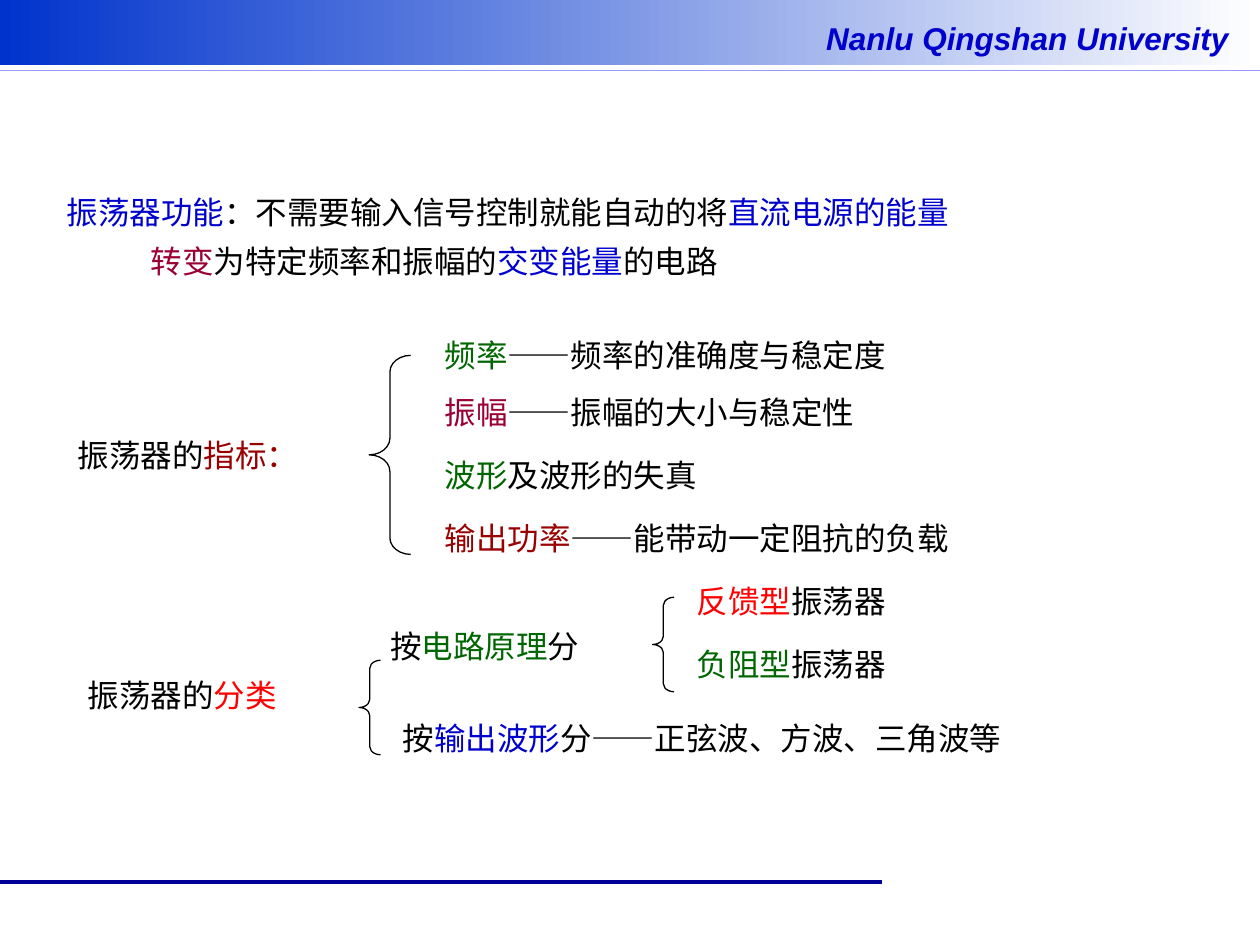
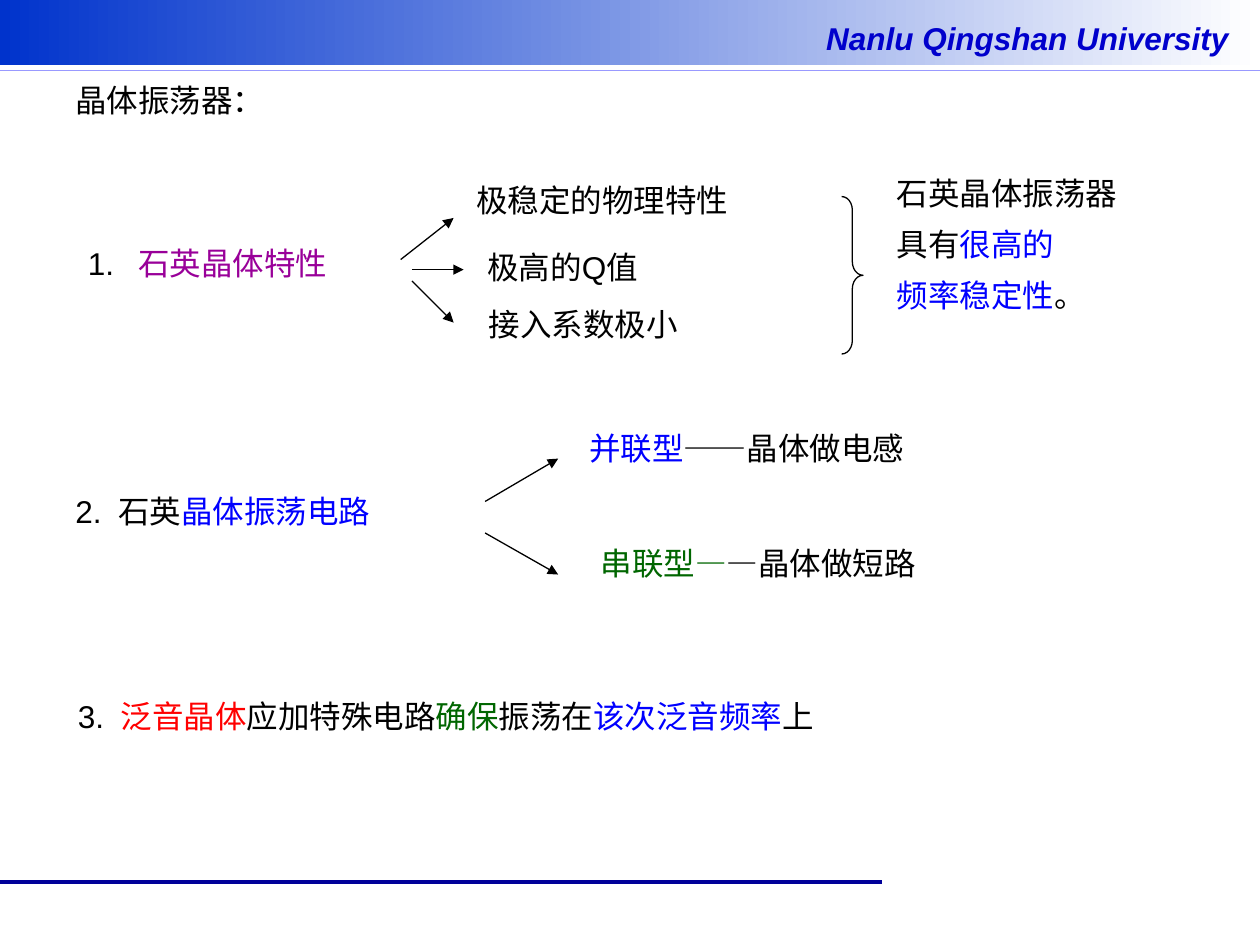
from lxml.etree import SubElement
from pptx import Presentation
from pptx.dml.color import RGBColor
from pptx.enum.shapes import MSO_CONNECTOR, MSO_SHAPE
from pptx.enum.text import MSO_AUTO_SIZE, PP_ALIGN
from pptx.oxml.ns import qn
from pptx.util import Inches, Pt

COLUMNS, ROWS = 100, 75
COLORS = {
    "black": "000000", "white": "FFFFFF", "band": "0033CC", "rule": "9999FF",
    "footer": "000099", "navy": "0000CC", "blue": "0000FF", "green": "006600",
    "red": "FF0000", "brick": "990000", "wine": "990033", "purple": "990099",
}


class Deck:
    """Hold the style and the current slide, placed on a grid of columns and rows."""

    def __init__(self):
        self.show = Presentation()
        self.show.slide_width, self.show.slide_height = Inches(10), Inches(7.5)
        self.slide = None

    def color(self, name):
        return RGBColor.from_string(COLORS[name])

    def place(self, column, row):
        return (round(self.show.slide_width * column / COLUMNS),
                round(self.show.slide_height * row / ROWS))

    def page(self):
        self.slide = self.show.slides.add_slide(self.show.slide_layouts[6])
        self.band()
        self.text((62.5, 1, 36, 4), [[("Nanlu Qingshan University", "navy")]],
                  style={"bold": True, "italic": True}, align=PP_ALIGN.RIGHT)
        self.line((0, 5.6), (100, 5.6), "rule", 1)
        self.line((0, 70), (70, 70), "footer", 2.25)

    def shape(self, kind, box):
        shape = self.slide.shapes.add_shape(kind, *self.place(*box[:2]), *self.place(*box[2:]))
        shape.shadow.inherit = False
        return shape

    def band(self):
        band = self.shape(MSO_SHAPE.RECTANGLE, (0, 0, 100, 5.2))
        band.line.fill.background()
        band.fill.gradient()
        band.fill.gradient_angle = 0
        for stop, name in zip(band.fill.gradient_stops, ("band", "white")):
            stop.color.rgb = self.color(name)

    def brace(self, box, curve, kind=MSO_SHAPE.LEFT_BRACE):
        brace = self.shape(kind, box)
        brace.adjustments[0] = curve
        brace.fill.background()
        brace.line.color.rgb = self.color("black")
        brace.line.width = Pt(0.75)

    def line(self, start, end, name="black", width=0.75, arrow=False):
        line = self.slide.shapes.add_connector(
            MSO_CONNECTOR.STRAIGHT, *self.place(*start), *self.place(*end))
        line.line.color.rgb = self.color(name)
        line.line.width = Pt(width)
        if arrow:
            SubElement(line.line._get_or_add_ln(), qn("a:tailEnd"), type="triangle")
        SubElement(line._element.spPr, qn("a:effectLst"))

    def text(self, box, paragraphs, spacing=None, hang=0, indent=0, style=None,
             align=PP_ALIGN.LEFT):
        frame = self.slide.shapes.add_textbox(
            *self.place(*box[:2]), *self.place(*box[2:])).text_frame
        frame.word_wrap = True
        frame.auto_size = MSO_AUTO_SIZE.SHAPE_TO_FIT_TEXT
        look = {"size": Pt(18), "name": "Arial", **(style or {})}
        for index, runs in enumerate(paragraphs):
            paragraph = frame.paragraphs[0] if index == 0 else frame.add_paragraph()
            paragraph.alignment = align
            paragraph.line_spacing = spacing
            margin = hang or (indent if index else 0)
            if margin:
                properties = paragraph._p.get_or_add_pPr()
                properties.set("marL", str(self.place(margin, 0)[0]))
                properties.set("indent", str(-self.place(hang, 0)[0]))
            for words, name in runs:
                run = paragraph.add_run()
                run.text = words
                for attribute, value in look.items():
                    setattr(run.font, attribute, value)
                run.font.color.rgb = self.color(name)
                SubElement(run._r.get_or_add_rPr(), qn("a:ea"), typeface="Noto Sans CJK SC")

    def phrase(self, column, row, width, *runs, **options):
        self.text((column, row, width, 5), [runs], **options)


def oscillators(deck):
    deck.page()
    deck.text((4.3, 13.9, 95, 11.4), [
        [("振荡器功能", "navy"), ("：不需要输入信号控制就能自动的将", "black"),
         ("直流电源的能量", "navy")],
        [("转变", "wine"), ("为特定频率和振幅的", "black"), ("交变能量", "navy"),
         ("的电路", "black")],
    ], spacing=1.3, indent=6.7)

    deck.phrase(5.2, 34.1, 25.5, ("振荡器的", "black"), ("指标：", "brick"))
    deck.brace((29.3, 28.2, 3.3, 15.8), 0.4)
    indicators = [
        (26.2, "频率", "green", "——频率的准确度与稳定度"),
        (30.7, "振幅", "wine", "——振幅的大小与稳定性"),
        (35.7, "波形", "green", "及波形的失真"),
        (40.7, "输出功率", "brick", "——能带动一定阻抗的负载"),
    ]
    for row, indicator, name, meaning in indicators:
        deck.phrase(34.3, row, 57, (indicator, name), (meaning, "black"))

    deck.phrase(6, 53.2, 22, ("振荡器的", "black"), ("分类", "red"))
    for column, row in ((28.5, 52.4), (51.8, 47.4)):
        deck.brace((column, row, 1.7, 7.5), 0.38)
    deck.phrase(30, 49.3, 22.1, ("按", "black"), ("电路原理", "green"), ("分", "black"))
    deck.phrase(31, 56.6, 65.6, ("按", "black"), ("输出波形", "navy"),
                ("分——正弦波、方波、三角波等", "black"))
    for row, principle, name in ((45.7, "反馈型", "red"), (50.7, "负阻型", "green")):
        deck.phrase(54.3, row, 23, (principle, name), ("振荡器", "black"))


def crystals(deck):
    deck.page()
    deck.phrase(5, 5.9, 55.8, ("晶体振荡器：", "black"))

    deck.phrase(6, 17.8, 30, ("1.\t", "black"), ("石英晶体特性", "purple"),
                spacing=1.35, hang=4)
    traits = [(36.8, 13.9, "极稳定的物理特性"), (37.7, 19.2, "极高的Q值"),
              (37.8, 23.7, "接入系数极小")]
    for column, row, trait in traits:
        deck.phrase(column, row, 30, (trait, "black"))
    arrows = [((31.8, 20.6), (36, 17.3)), ((32.7, 21.4), (36.8, 21.4)),
              ((32.7, 22.3), (36, 25.6)), ((38.5, 39.8), (44.3, 36.4)),
              ((38.5, 42.3), (44.3, 45.6))]
    for start, end in arrows:
        deck.line(start, end, arrow=True)
    deck.brace((66.8, 15.6, 1.7, 12.5), 0.63, MSO_SHAPE.RIGHT_BRACE)
    deck.text((70.2, 12.3, 25.5, 25.2), [
        [("石英晶体振荡器", "black")],
        [("具有", "black"), ("很高的", "blue")],
        [("频率稳定性", "blue"), ("。", "black")],
    ], spacing=1.35)

    deck.phrase(5, 38.6, 37.7, ("2.\t石英", "black"), ("晶体振荡电路", "blue"), hang=3.4)
    deck.phrase(45.8, 33.6, 45.2, ("并联型", "blue"), ("——晶体做电感", "black"))
    deck.phrase(46.7, 42.7, 41.8, ("串联型—", "green"), ("—晶体做短路", "black"))

    deck.phrase(5.2, 54.8, 79.1, ("3.\t", "black"), ("泛音晶体", "red"),
                ("应加特殊电路", "black"), ("确保", "green"), ("振荡在", "black"),
                ("该次泛音频率", "blue"), ("上", "black"), hang=3.4)


def main():
    deck = Deck()
    oscillators(deck)
    crystals(deck)
    deck.show.save("out.pptx")


if __name__ == "__main__":
    main()
